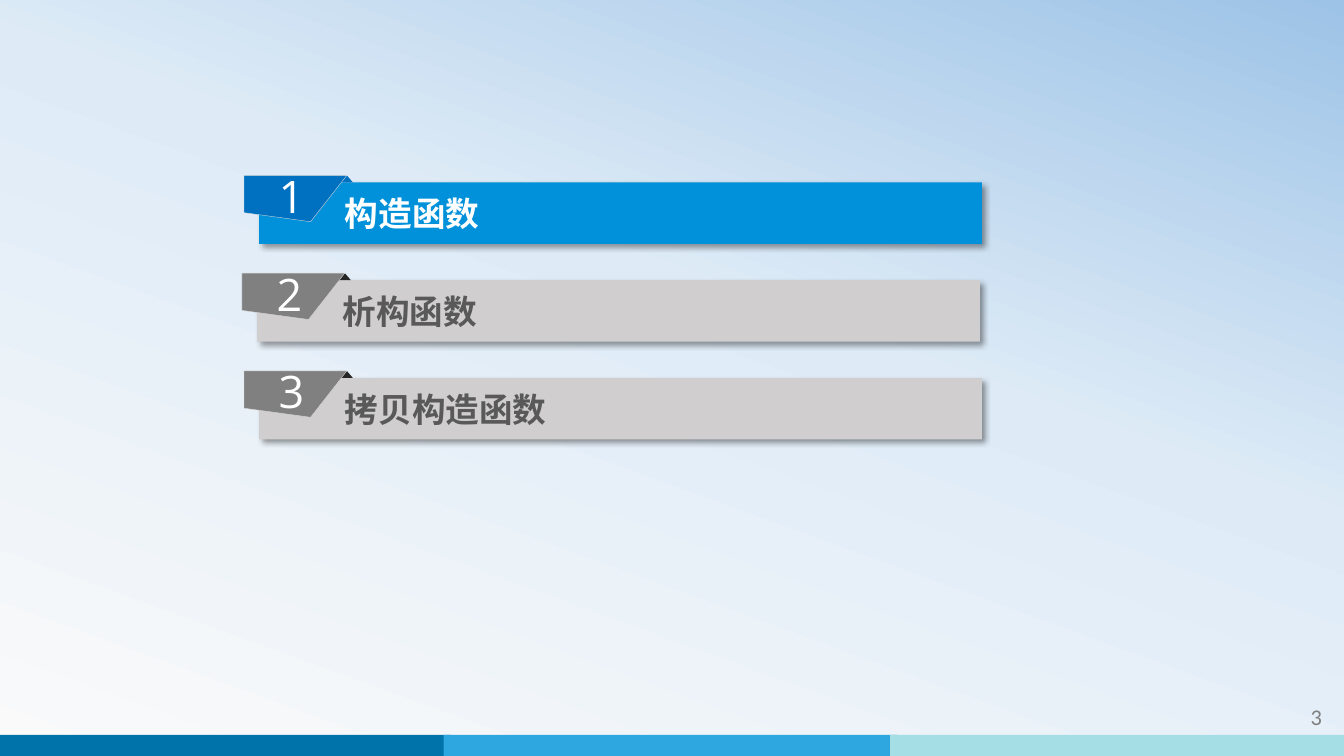
from copy import deepcopy

from lxml import etree
from pptx import Presentation
from pptx import util as u
from pptx.dml.color import RGBColor
from pptx.enum import shapes, text
from pptx.oxml.ns import qn

WHITE = RGBColor(0xFF, 0xFF, 0xFF)
BLUE = RGBColor(0x00, 0x91, 0xDA)
DARK_BLUE = RGBColor(0x00, 0x70, 0xC0)
LIGHT_GRAY = RGBColor(0xD0, 0xCE, 0xCE)
EDGE_GRAY = RGBColor(0xD9, 0xD9, 0xD9)
MID_GRAY = RGBColor(0x80, 0x80, 0x80)
TEXT_GRAY = RGBColor(0x59, 0x59, 0x59)
NEAR_BLACK = RGBColor(0x26, 0x26, 0x26)
FOOTER_COLORS = (RGBColor(0x00, 0x73, 0xAB), RGBColor(0x2E, 0xA7, 0xE0),
                 RGBColor(0xA5, 0xDE, 0xE4))
BACKGROUND_STOPS = ((0, RGBColor(0xFA, 0xFA, 0xFA)),
                    (0.58, RGBColor(0xDE, 0xEB, 0xF7)),
                    (1, RGBColor(0x9D, 0xC3, 0xE6)))

# Colours of bar, bar text, tab and fold
ACTIVE = (BLUE, WHITE, DARK_BLUE, DARK_BLUE)
INACTIVE = (LIGHT_GRAY, TEXT_GRAY, MID_GRAY, NEAR_BLACK)

# Left edge, number, wording and colours of each agenda row
AGENDA = ((2.42, "1", "构造函数", ACTIVE),
          (2.40, "2", "析构函数", INACTIVE),
          (2.42, "3", "拷贝构造函数", INACTIVE))
AGENDA_TOP = 1.74
AGENDA_STEP = 0.97


def paint_background(slide):
    """Fill the background with a three-stop slanted gradient."""
    fill = slide.background.fill
    fill.gradient()
    fill.gradient_angle = 70
    first_stop = slide.element.find(".//" + qn("a:gs"))
    first_stop.addnext(deepcopy(first_stop))
    for stop, (position, color) in zip(fill.gradient_stops, BACKGROUND_STOPS):
        stop.position = position
        stop.color.rgb = color


def style_shape(shape, color):
    """Give a shape a flat fill with no outline or shadow."""
    shape.shadow.inherit = False
    shape.fill.solid()
    shape.fill.fore_color.rgb = color
    shape.line.fill.background()


def add_preset(parent, kind, left, top, width, height, color):
    """Add a flat preset shape, measured in inches."""
    shape = parent.add_shape(kind, u.Inches(left), u.Inches(top),
                             u.Inches(width), u.Inches(height))
    style_shape(shape, color)
    return shape


def add_shadow(shape):
    """Cast a soft shadow to the lower right."""
    effects = shape.element.spPr.find(qn("a:effectLst"))
    shadow = etree.SubElement(effects, qn("a:outerShdw"), blurRad=str(u.Pt(4)),
                              dist=str(u.Pt(3)), dir="2700000", algn="tl",
                              rotWithShape="0")
    color = etree.SubElement(shadow, qn("a:srgbClr"), val="000000")
    etree.SubElement(color, qn("a:alpha"), val="40000")


def write_text(shape, wording, font_name, size, color, align, margins,
               bold=False):
    """Write one vertically centred line; margins are left, top, right, bottom."""
    frame = shape.text_frame
    frame.word_wrap = True
    frame.vertical_anchor = text.MSO_ANCHOR.MIDDLE
    (frame.margin_left, frame.margin_top,
     frame.margin_right, frame.margin_bottom) = map(u.Inches, margins)
    paragraph = frame.paragraphs[0]
    paragraph.alignment = align
    run = paragraph.add_run()
    run.text = wording
    run.font.name = font_name
    run.font.size = u.Pt(size)
    run.font.bold = bold
    run.font.color.rgb = color
    etree.SubElement(run.font._element, qn("a:ea"), typeface=font_name)


def add_tab(parent, left, top, number, color):
    """Add the slanted number tab."""
    corners = [(u.Inches(left + x), u.Inches(top + y))
               for x, y in ((0, 0), (1.02, 0), (0.66, 0.46), (0, 0.37))]
    builder = parent.build_freeform(*corners[0])
    builder.add_line_segments(corners[1:], close=True)
    tab = builder.convert_to_shape()
    style_shape(tab, color)
    tab.line.color.rgb = EDGE_GRAY
    tab.line.width = u.Pt(0.25)
    write_text(tab, number, "Open Sans", 32, WHITE, text.PP_ALIGN.CENTER,
               (0.09, 0.04, 0.17, 0.1))


def add_agenda_row(slide, left, top, number, wording, colors):
    """Add one grouped agenda row: bar, fold and number tab."""
    bar_color, text_color, tab_color, fold_color = colors
    group = slide.shapes.add_group_shape().shapes
    bar = add_preset(group, shapes.MSO_SHAPE.RECTANGLE, left + 0.15,
                     top + 0.07, 7.17, 0.61, bar_color)
    add_shadow(bar)
    write_text(bar, wording, "Noto Sans CJK SC", 24, text_color,
               text.PP_ALIGN.LEFT, (0.85, 0.05, 0.1, 0.05), bold=True)
    add_preset(group, shapes.MSO_SHAPE.ISOSCELES_TRIANGLE, left + 0.96, top,
               0.12, 0.07, fold_color)
    add_tab(group, left, top, number, tab_color)


def add_footer(slide):
    """Add the three-colour footer band and the slide number."""
    band = slide.shapes.add_group_shape().shapes
    for index, color in enumerate(FOOTER_COLORS):
        add_preset(band, shapes.MSO_SHAPE.RECTANGLE, -0.03 + 4.43 * index,
                   7.29, 4.5, 0.21, color)
    number_box = slide.shapes.add_textbox(u.Inches(11.62), u.Inches(6.91),
                                          u.Inches(1.59), u.Inches(0.4))
    write_text(number_box, "3", "Calibri", 16, MID_GRAY, text.PP_ALIGN.RIGHT,
               (0.1, 0.05, 0.1, 0.05))


def main():
    """Build the agenda slide and save it."""
    presentation = Presentation()
    presentation.slide_width = u.Inches(13.33)
    presentation.slide_height = u.Inches(7.5)
    slide = presentation.slides.add_slide(presentation.slide_layouts[6])
    paint_background(slide)
    add_footer(slide)
    for index, (left, number, wording, colors) in enumerate(AGENDA):
        add_agenda_row(slide, left, AGENDA_TOP + AGENDA_STEP * index,
                       number, wording, colors)
    presentation.save("out.pptx")


main()
